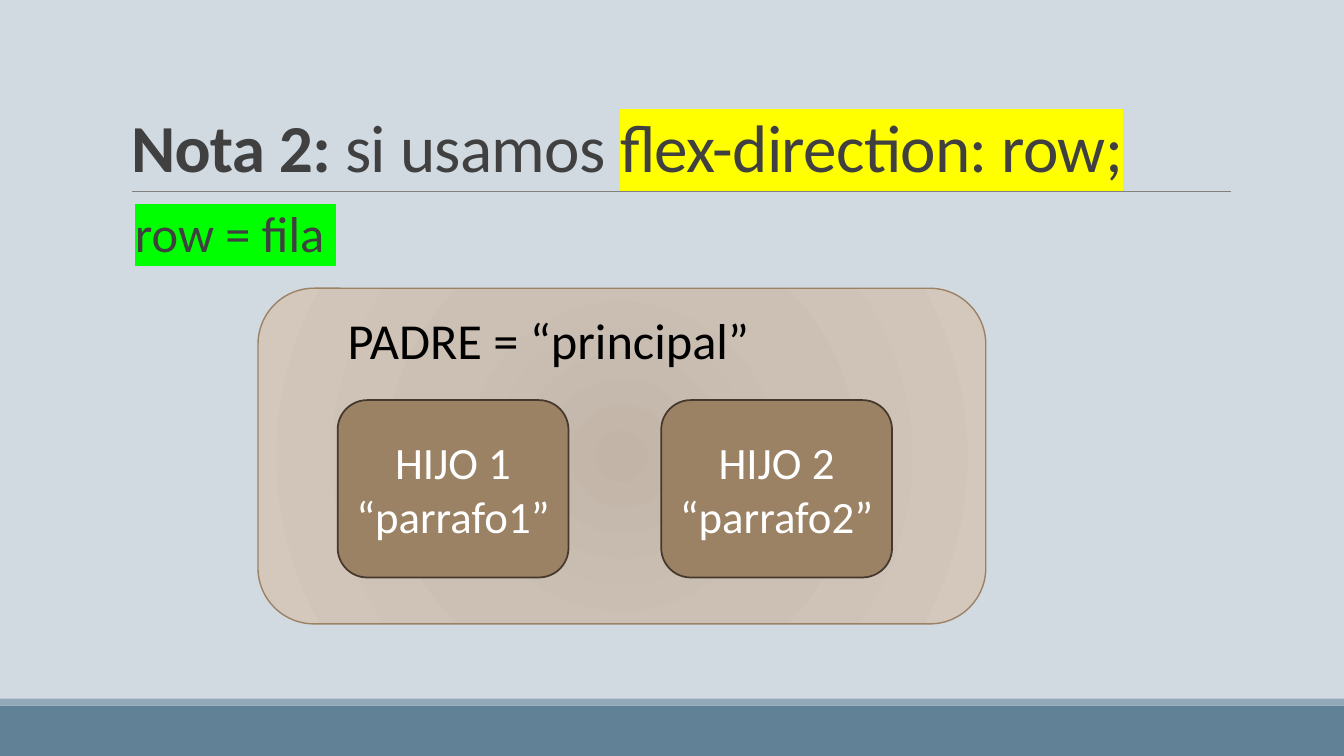
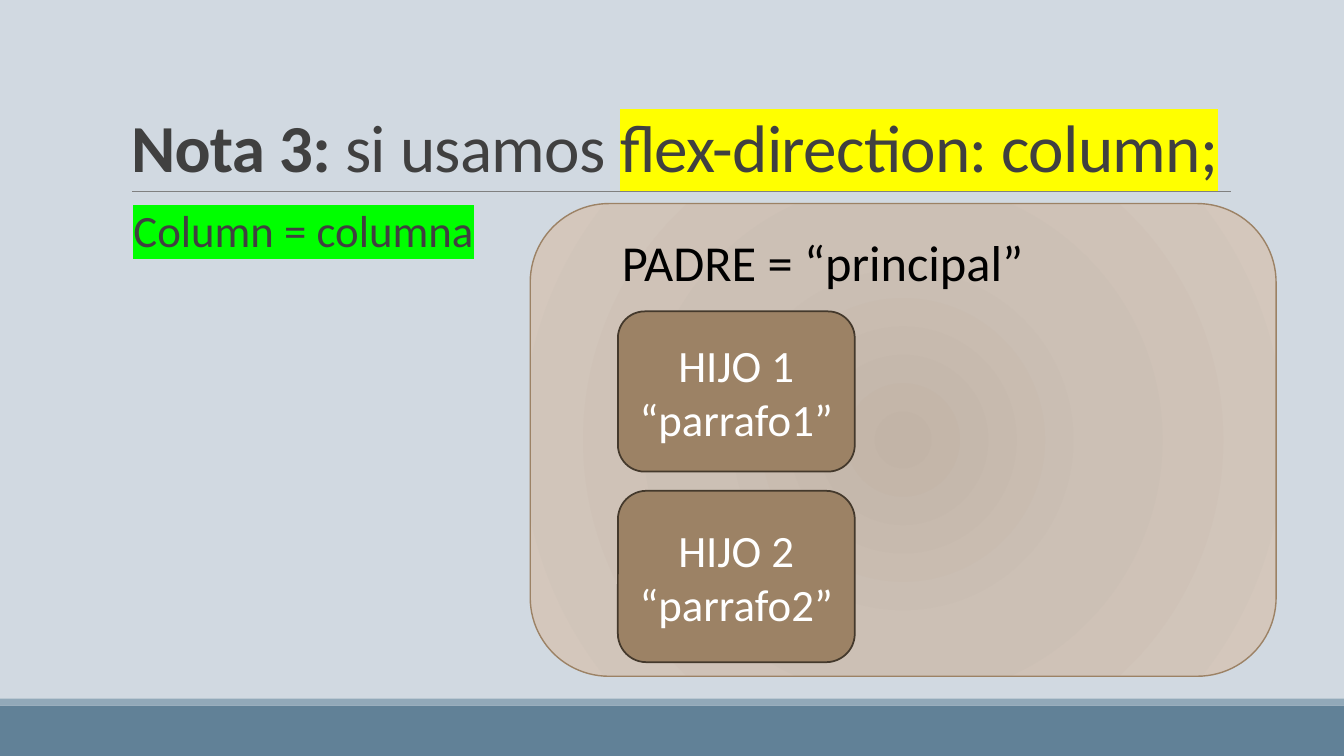
from dataclasses import dataclass

from lxml import etree
from pptx import Presentation
from pptx import util as u
from pptx.dml.color import RGBColor
from pptx.enum import shapes, text
from pptx.oxml import ns

FONT = "Calibri"
BACKGROUND = RGBColor(0xD1, 0xD9, 0xE1)
BAND = RGBColor(0x61, 0x81, 0x97)
BAND_EDGE = RGBColor(0x92, 0xA9, 0xB9)
RULE = RGBColor(0x80, 0x80, 0x80)
INK = RGBColor(0x40, 0x40, 0x40)
BULLET = RGBColor(0x6F, 0x6F, 0x74)
BROWN = RGBColor(0x9C, 0x82, 0x65)
DARK_BROWN = RGBColor(0x44, 0x39, 0x2C)
BLACK = RGBColor(0, 0, 0)
WHITE = RGBColor(0xFF, 0xFF, 0xFF)
YELLOW = RGBColor(0xFF, 0xFF, 0)
GREEN = RGBColor(0, 0xFF, 0)
PANEL_STOPS = [
    (0, RGBColor(0xC2, 0xB4, 0xA7)),
    (45, RGBColor(0xCC, 0xC0, 0xB5)),
    (100, RGBColor(0xD4, 0xC7, 0xBC)),
]


@dataclass
class Box:
    left: int
    top: int
    width: int
    height: int

    def area(self, left, top, width, height):
        """Return a box inside this one, given in percent of its size."""
        return Box(
            int(self.left + self.width * left / 100),
            int(self.top + self.height * top / 100),
            int(self.width * width / 100),
            int(self.height * height / 100),
        )

    def bounds(self):
        return self.left, self.top, self.width, self.height


SLIDE = Box(0, 0, u.Inches(13.33), u.Inches(7.5))
TITLE_BOX = SLIDE.area(9, 4.13, 82.5, 21.2)
BODY_BOX = SLIDE.area(9, 26.93, 82.5, 58.67)
LABEL_AREA = (10.95, 4.75, 60.25, 21.32)


# Small XML helpers
def add_node(parent, tag, **attributes):
    node = etree.SubElement(parent, ns.qn(tag))
    for name, value in attributes.items():
        node.set(name, str(value))
    return node


def highlight(span, color):
    """Mark a span whose text colour is already set."""
    mark = etree.Element(ns.qn("a:highlight"))
    add_node(mark, "a:srgbClr", val=color)
    span.font._element.find(ns.qn("a:solidFill")).addnext(mark)


def fill_radial(shape, stops):
    shape.fill.background()
    blank = shape.element.spPr.find(ns.qn("a:noFill"))
    gradient = etree.Element(ns.qn("a:gradFill"), rotWithShape="1")
    stop_list = add_node(gradient, "a:gsLst")
    for position, color in stops:
        stop = add_node(stop_list, "a:gs", pos=position * 1000)
        add_node(stop, "a:srgbClr", val=color)
    route = add_node(gradient, "a:path", path="circle")
    add_node(route, "a:fillToRect", l=100000, t=100000, r=100000, b=100000)
    blank.getparent().replace(blank, gradient)


# Shared drawing helpers
def style_font(font, size, color):
    font.name = FONT
    font.size = u.Pt(size)
    font.color.rgb = color


def add_block(parent, kind, box, fill=None, line=None, weight=1):
    block = parent.shapes.add_shape(kind, *box.bounds())
    block.shadow.inherit = False
    if fill is not None:
        block.fill.solid()
        block.fill.fore_color.rgb = fill
    if line is None:
        block.line.fill.background()
    else:
        block.line.color.rgb = line
        block.line.width = u.Pt(weight)
    return block


# Layout: background, bands, title rule and placeholder places
def dress_layout(layout, page):
    layout.background.fill.solid()
    layout.background.fill.fore_color.rgb = BACKGROUND
    for holder, box in zip(layout.placeholders, (TITLE_BOX, BODY_BOX)):
        holder.left, holder.top, holder.width, holder.height = box.bounds()

    rectangle = shapes.MSO_SHAPE.RECTANGLE
    band = add_block(page, rectangle, SLIDE.area(0, 93.33, 100, 6.67), BAND)
    edge = add_block(page, rectangle, SLIDE.area(0, 92.4, 100, 0.93), BAND_EDGE)
    place = SLIDE.area(9.83, 25.33, 81.77, 0)
    rule = page.shapes.add_connector(
        shapes.MSO_CONNECTOR.STRAIGHT, place.left, place.top,
        place.left + place.width, place.top)
    rule.line.color.rgb = RULE
    rule.line.width = u.Pt(0.5)
    add_node(rule.element.spPr, "a:effectLst")

    # Hand the shapes over to the layout, behind its placeholders
    for index, shape in enumerate((band, edge, rule)):
        shape.element.xpath(".//p:cNvPr")[0].set("id", str(100 + index))
        layout.shapes.element.insert(2 + index, shape.element)


def fill_title(page, note, middle, code):
    frame = page.shapes.title.text_frame
    frame.vertical_anchor = text.MSO_ANCHOR.BOTTOM
    para = frame.paragraphs[0]
    para.alignment = text.PP_ALIGN.LEFT
    para.line_spacing = 0.85
    for words in (note, middle, code):
        span = para.add_run()
        span.text = words
        style_font(span.font, 48, INK)
        span.font.bold = words == note
        span.font._element.set("spc", "-50")
    highlight(span, YELLOW)


def fill_body(page, words, size):
    frame = page.placeholders[1].text_frame
    frame.margin_left = frame.margin_right = 0
    para = frame.paragraphs[0]
    para.text = words
    properties = para._p.get_or_add_pPr()
    properties.set("marL", str(u.Inches(0.1)))
    properties.set("indent", str(u.Inches(-0.1)))
    add_node(add_node(properties, "a:buClr"), "a:srgbClr", val=BULLET)
    add_node(properties, "a:buChar", char=" ")
    para.line_spacing = 0.9
    para.space_before = u.Pt(0)
    para.space_after = u.Pt(2)
    span = para.runs[0]
    style_font(span.font, size, INK)
    highlight(span, GREEN)


# Diagram: a parent panel holding its label and its children
def add_family(page, box, child_areas):
    group = page.shapes.add_group_shape()
    rounded = shapes.MSO_SHAPE.ROUNDED_RECTANGLE
    panel = add_block(group, rounded, box, line=BROWN)
    fill_radial(panel, PANEL_STOPS)

    for number, shares in enumerate(child_areas, 1):
        child = add_block(group, rounded, box.area(*shares), BROWN, DARK_BROWN, 1.25)
        frame = child.text_frame
        frame.text = f"HIJO {number}\n“parrafo{number}”"
        frame.vertical_anchor = text.MSO_ANCHOR.MIDDLE
        for para in frame.paragraphs:
            para.alignment = text.PP_ALIGN.CENTER
            style_font(para.runs[0].font, 32, WHITE)

    label = group.shapes.add_textbox(*box.area(*LABEL_AREA).bounds())
    label.text_frame.word_wrap = True
    label.text_frame.text = "PADRE = “principal”"
    style_font(label.text_frame.paragraphs[0].runs[0].font, 36, BLACK)


NOTES = [
    {
        "title": ("Nota 2: ", "si usamos ", "flex-direction: row;"),
        "body": ("row = fila ", 36),
        "panel": SLIDE.area(19.2, 38.13, 54.15, 44.4),
        "children": [(10.94, 33.33, 31.72, 52.85), (55.4, 33.33, 31.72, 52.85)],
    },
    {
        "title": ("Nota 3:", " si usamos ", "flex-direction: column;"),
        "body": ("Column = columna", 32),
        "panel": SLIDE.area(39.45, 26.93, 55.5, 62.53),
        "children": [(11.76, 22.81, 31.76, 33.9), (11.76, 60.77, 31.76, 36.25)],
    },
]


def main():
    deck = Presentation()
    deck.slide_width, deck.slide_height = SLIDE.width, SLIDE.height
    layout = deck.slide_layouts[1]
    pages = [deck.slides.add_slide(layout) for _ in NOTES]
    dress_layout(layout, pages[0])
    for page, note in zip(pages, NOTES):
        fill_title(page, *note["title"])
        fill_body(page, *note["body"])
        add_family(page, note["panel"], note["children"])
    deck.save("out.pptx")


if __name__ == "__main__":
    main()
